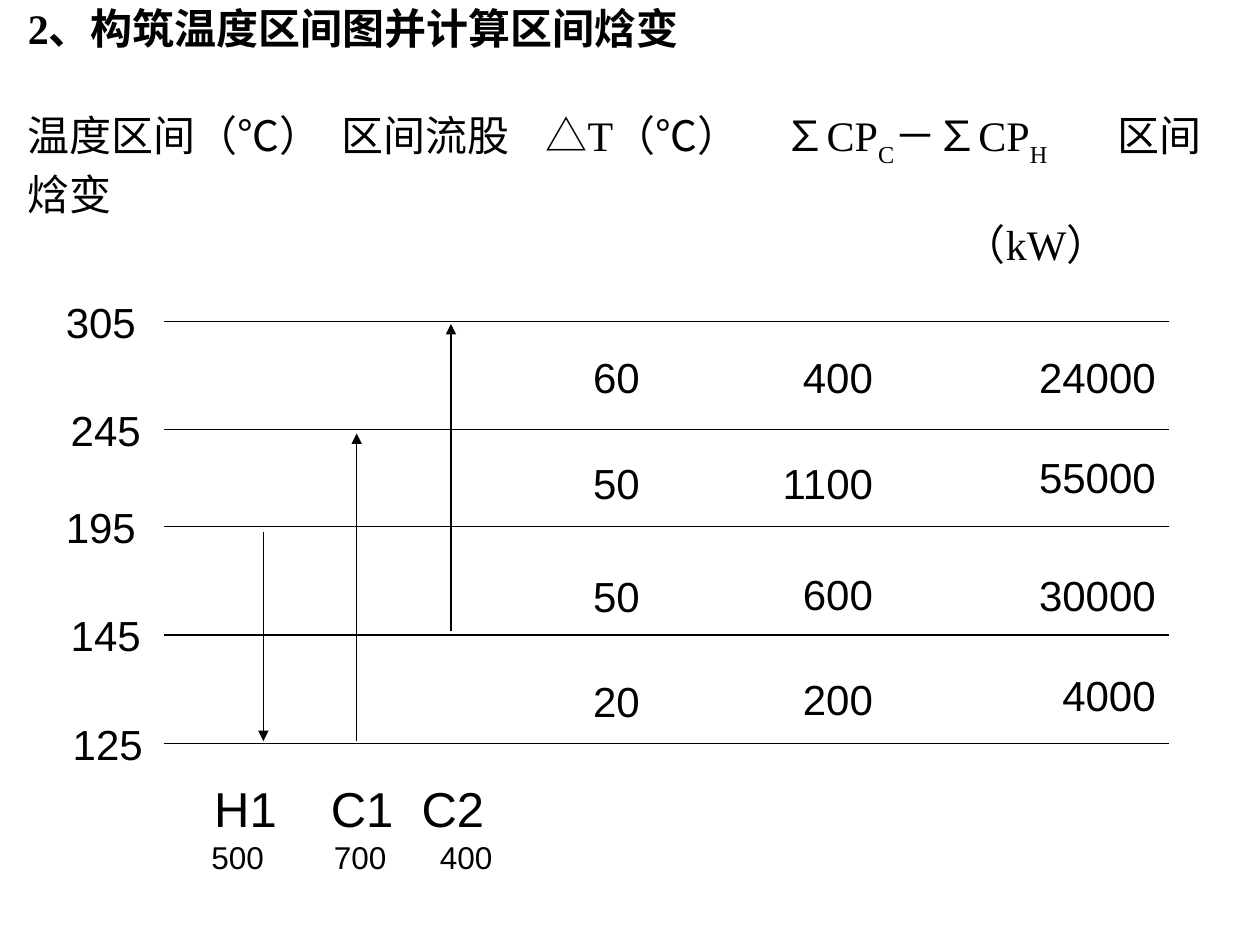
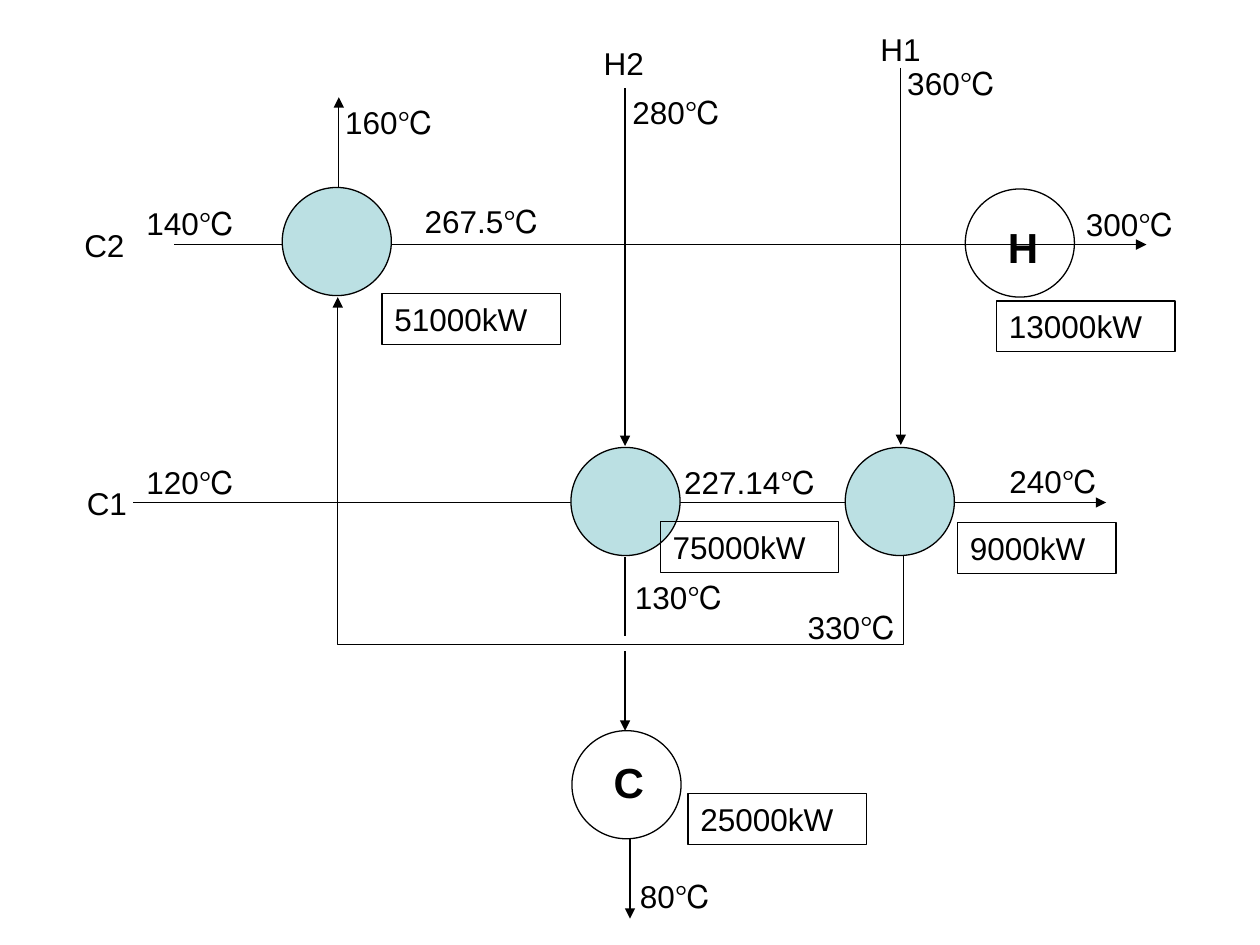
from dataclasses import dataclass

from lxml.etree import SubElement
from pptx import Presentation
from pptx.dml.color import RGBColor as RGB
from pptx.enum.shapes import MSO_CONNECTOR as CONN, MSO_SHAPE as SHAPE
from pptx.enum.text import MSO_ANCHOR as ANCHOR, MSO_AUTO_SIZE as FIT, PP_ALIGN as ALIGN
from pptx.oxml.ns import qn
from pptx.util import Cm, Pt

COLORS = {"ink": "000000", "exchanger": "BBE0E3"}
SANS, SERIF = "Arial", "Times New Roman"
LABEL_W, LABEL_H = 4, 1.2
CIRCLE_W, CIRCLE_H = 2.2, 2.18
LOAD_H = 1.02


@dataclass
class Label:
    text: str
    x: float  # left or right edge of the text, by alignment
    y: float  # middle of the text
    size: float = 18
    bold: bool = False
    align: ALIGN = ALIGN.LEFT


@dataclass
class Line:
    x1: float
    y1: float
    x2: float
    y2: float
    arrow: bool = True


@dataclass
class Unit:
    x: float
    y: float
    fill: str | None = None


@dataclass
class Load:
    text: str
    x: float
    y: float
    width: float = 3.6


@dataclass
class Stream:
    name: str
    load: str
    name_x: float
    load_x: float
    arrow: Line


# Shared drawing functions
def add_text(p, text: str, *, size: float = 18, font: str = SANS,
             bold: bool = False, baseline: int = 0) -> None:
    r = p.add_run()
    r.text = text
    r.font.size, r.font.name, r.font.bold = Pt(size), font, bold
    r.font.color.rgb = RGB.from_string(COLORS["ink"])
    if baseline:
        r.font._element.set("baseline", str(baseline))


def set_frame(tf, *, wrap: bool = True, anchor: ANCHOR = ANCHOR.TOP, inset: float = 0) -> None:
    tf.auto_size, tf.word_wrap, tf.vertical_anchor = FIT.NONE, wrap, anchor
    tf.margin_left = tf.margin_right = Cm(inset)
    tf.margin_top = tf.margin_bottom = 0


def set_outline(sp, *, arrow: bool = False) -> None:
    sp.line.color.rgb = RGB.from_string(COLORS["ink"])
    sp.line.width = Pt(0.75)
    if arrow:
        SubElement(sp.line._get_or_add_ln(), qn("a:tailEnd"), type="triangle")


def add_label(s, label: Label) -> None:
    left = label.x - LABEL_W if label.align == ALIGN.RIGHT else label.x
    tf = s.shapes.add_textbox(Cm(left), Cm(label.y - LABEL_H / 2),
                              Cm(LABEL_W), Cm(LABEL_H)).text_frame
    set_frame(tf, anchor=ANCHOR.MIDDLE)
    p = tf.paragraphs[0]
    p.alignment = label.align
    add_text(p, label.text, size=label.size, bold=label.bold)


def add_line(s, line: Line) -> None:
    sp = s.shapes.add_connector(CONN.STRAIGHT, Cm(line.x1), Cm(line.y1),
                                Cm(line.x2), Cm(line.y2))
    set_outline(sp, arrow=line.arrow)
    SubElement(sp._element.spPr, qn("a:effectLst"))


def add_outlined(s, kind: SHAPE, x: float, y: float, w: float, h: float,
                 fill: str | None = None):
    sp = s.shapes.add_shape(kind, Cm(x), Cm(y), Cm(w), Cm(h))
    sp.shadow.inherit = False
    if fill:
        sp.fill.solid()
        sp.fill.fore_color.rgb = RGB.from_string(COLORS[fill])
    else:
        sp.fill.background()
    set_outline(sp)
    return sp


def add_load(s, load: Load) -> None:
    sp = add_outlined(s, SHAPE.RECTANGLE, load.x, load.y, load.width, LOAD_H)
    set_frame(sp.text_frame, anchor=ANCHOR.MIDDLE, inset=0.25)
    p = sp.text_frame.paragraphs[0]
    p.alignment = ALIGN.LEFT
    add_text(p, load.text)


def add_path(s, points: list[tuple[float, float]]) -> None:
    start, *rest = [(Cm(x), Cm(y)) for x, y in points]
    builder = s.shapes.build_freeform(*start)
    builder.add_line_segments(rest, close=False)
    sp = builder.convert_to_shape()
    sp.shadow.inherit = False
    sp.fill.background()
    set_outline(sp, arrow=True)


def set_tabs(p, stops: list[float]) -> None:
    tabs = SubElement(p._p.get_or_add_pPr(), qn("a:tabLst"))
    for stop in stops:
        SubElement(tabs, qn("a:tab"), pos=str(Cm(stop)), algn="l")


# Slide 1: temperature intervals
BOUNDARIES = [  # temperature, right edge of its label, line height
    ("305", 2.74, 6.48), ("245", 2.84, 8.66), ("195", 2.74, 10.62),
    ("145", 2.84, 12.8), ("125", 2.88, 14.99),
]
VALUE_EDGES = (12.9, 17.6, 23.3)
INTERVALS = [  # height of each value, values
    ((7.6, 7.6, 7.6), ("60", "400", "24000")),
    ((9.74, 9.74, 9.62), ("50", "1100", "55000")),
    ((12.01, 11.97, 11.99), ("50", "600", "30000")),
    ((14.13, 14.09, 14.01), ("20", "200", "4000")),
]
STREAMS = [
    Stream("H1", "500", 4.32, 4.26, Line(5.31, 10.72, 5.31, 14.94)),
    Stream("C1", "700", 6.67, 6.73, Line(7.19, 14.94, 7.19, 8.74)),
    Stream("C2", "400", 8.5, 8.87, Line(9.09, 12.73, 9.09, 6.53)),
]


def add_heading(s) -> None:
    title = s.shapes.title
    title.left, title.top, title.width, title.height = Cm(0.56), Cm(0.05), Cm(24), Cm(1.4)
    set_frame(title.text_frame)
    p = title.text_frame.paragraphs[0]
    p.alignment = ALIGN.LEFT
    add_text(p, "2、构筑温度区间图并计算区间焓变", size=24, font=SERIF, bold=True)


def add_column_heads(s) -> None:
    tf = s.shapes.add_textbox(Cm(0.56), Cm(2.2), Cm(24.1), Cm(3.6)).text_frame
    set_frame(tf)
    p = tf.paragraphs[0]
    set_tabs(p, [6.33, 10.44, 15.26, 21.97])
    parts = [("温度区间（℃）\t区间流股\t△T（℃）\t∑CP", 0), ("C", -30000),
             ("－∑CP", 0), ("H", -30000), ("\t区间焓变", 0)]
    for text, baseline in parts:
        add_text(p, text, size=24, font=SERIF, baseline=baseline)
    p = tf.add_paragraph()
    set_tabs(p, [18.87])
    add_text(p, "\t（kW）", size=24, font=SERIF)


def build_intervals(prs) -> None:
    s = prs.slides.add_slide(prs.slide_layouts[5])
    add_heading(s)
    add_column_heads(s)
    for text, edge, y in BOUNDARIES:
        add_line(s, Line(3.3, y, 23.57, y, arrow=False))
        add_label(s, Label(text, edge, y, 24, align=ALIGN.RIGHT))
    for heights, values in INTERVALS:
        for edge, y, value in zip(VALUE_EDGES, heights, values):
            add_label(s, Label(value, edge, y, 24, align=ALIGN.RIGHT))
    for stream in STREAMS:
        add_line(s, stream.arrow)
        add_label(s, Label(stream.name, stream.name_x, 16.29, 28))
        add_label(s, Label(stream.load, stream.load_x, 17.28))


# Slide 2: heat exchanger network
FLOWS = [
    Line(3.51, 4.93, 23.11, 4.93),
    Line(2.69, 10.13, 22.3, 10.13),
    Line(18.16, 1.37, 18.16, 8.97),
    Line(6.83, 3.76, 6.83, 1.96),
    Line(12.6, 1.78, 12.6, 8.99),
    Line(12.6, 11.23, 12.6, 12.83, arrow=False),
    Line(12.6, 13.13, 12.6, 14.73),
    Line(12.7, 16.92, 12.7, 18.52),
]
H1_RETURN = [(18.21, 11.2), (18.21, 13), (6.81, 13), (6.81, 5.99)]
UNITS = [
    Unit(17.04, 9.02, "exchanger"),
    Unit(5.69, 3.78, "exchanger"),
    Unit(11.51, 9.02, "exchanger"),
    Unit(19.46, 3.81),
    Unit(11.53, 14.73),
]
NETWORK_LABELS = [
    Label("C1", 1.75, 10.14), Label("C2", 1.7, 4.94),
    Label("H1", 17.75, 0.99), Label("H2", 12.17, 1.27),
    Label("H", 20.32, 4.98, 24, True), Label("C", 12.37, 15.76, 24, True),
    Label("140℃", 2.95, 4.5), Label("267.5℃", 8.56, 4.46),
    Label("300℃", 21.89, 4.52), Label("120℃", 2.95, 9.72),
    Label("227.14℃", 13.79, 9.72), Label("240℃", 20.35, 9.7),
    Label("360℃", 18.29, 1.67), Label("330℃", 16.28, 12.64),
    Label("160℃", 6.96, 2.45), Label("280℃", 12.75, 2.26),
    Label("130℃", 12.8, 12.04), Label("80℃", 12.9, 18.06),
]
LOADS = [
    Load("51000kW", 7.7, 5.92), Load("75000kW", 13.31, 10.52),
    Load("13000kW", 20.09, 6.07), Load("9000kW", 19.3, 10.54, 3.2),
    Load("25000kW", 13.87, 16),
]


def build_network(prs) -> None:
    s = prs.slides.add_slide(prs.slide_layouts[6])
    for flow in FLOWS:
        add_line(s, flow)
    add_path(s, H1_RETURN)
    for unit in UNITS:
        add_outlined(s, SHAPE.OVAL, unit.x, unit.y, CIRCLE_W, CIRCLE_H, unit.fill)
    for label in NETWORK_LABELS:
        add_label(s, label)
    for load in LOADS:
        add_load(s, load)


def main() -> None:
    prs = Presentation()
    prs.slide_width, prs.slide_height = Cm(25.4), Cm(19.05)
    build_intervals(prs)
    build_network(prs)
    prs.save("out.pptx")


if __name__ == "__main__":
    main()
